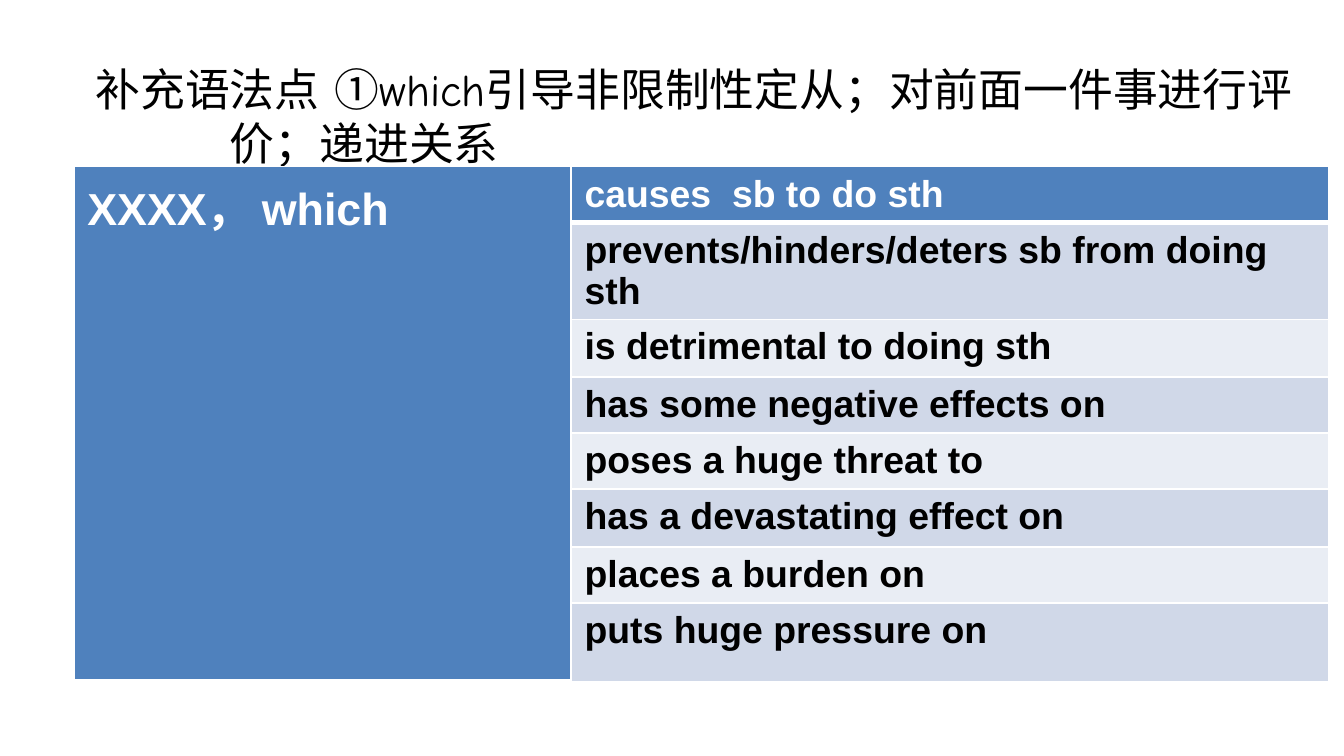
import pptx
import pptx.dml.color
import pptx.enum.text
import pptx.oxml
import pptx.oxml.ns
import pptx.util

Pt = pptx.util.Pt
NAMESPACE = pptx.oxml.ns.nsdecls("a")


def format_run(run, font_name, size, color, bold):
    run.font.name = font_name
    run.font.size = Pt(size)
    run.font.bold = bold
    run.font.color.rgb = pptx.dml.color.RGBColor.from_string(color)


def format_cell(cell, color, bottom_width):
    properties = cell._tc.get_or_add_tcPr()
    for side, width in (("L", 1), ("R", 1), ("T", 1), ("B", bottom_width)):
        properties.append(pptx.oxml.parse_xml(
            f'<a:ln{side} {NAMESPACE} w="{Pt(width)}"><a:solidFill>'
            f'<a:srgbClr val="FFFFFF"/></a:solidFill></a:ln{side}>'))
    cell.fill.solid()
    cell.fill.fore_color.rgb = pptx.dml.color.RGBColor.from_string(color)


presentation = pptx.Presentation()
presentation.slide_width = Pt(720)
presentation.slide_height = Pt(405)
slide = presentation.slides.add_slide(presentation.slide_layouts[5])

# Title with a hanging indent
title = slide.shapes.title
title.left, title.top, title.width, title.height = Pt(44), Pt(29), Pt(661), Pt(66)
title.text_frame.text = "补充语法点 ①which引导非限制性定从；对前面一件事进行评价；递进关系"
title.text_frame.vertical_anchor = pptx.enum.text.MSO_ANCHOR.MIDDLE
paragraph = title.text_frame.paragraphs[0]
paragraph.alignment = pptx.enum.text.PP_ALIGN.LEFT
paragraph_properties = paragraph._p.get_or_add_pPr()
paragraph_properties.set("marL", str(Pt(72)))
paragraph_properties.set("indent", str(Pt(-72)))
format_run(paragraph.runs[0], "Comic Neue", 24, "000000", False)
paragraph.runs[0].font._rPr.append(
    pptx.oxml.parse_xml(f'<a:ea {NAMESPACE} typeface="Comic Neue"/>'))

# Table: one stem on the left, its endings on the right
endings = [
    "causes  sb to do sth",
    "prevents/hinders/deters sb from doing sth",
    "is detrimental to doing sth",
    "has some negative effects on",
    "poses a huge threat to",
    "has a devastating effect on",
    "places a burden on",
    "puts huge pressure on",
]
row_heights = [30, 30, 31, 30, 30, 31, 30, 42]
table = slide.shapes.add_table(
    len(endings), 2, Pt(39.6), Pt(89.3), Pt(672.5), Pt(sum(row_heights))).table
table.columns[0].width = Pt(266.4)
table.columns[1].width = Pt(406.1)
table.cell(0, 0).merge(table.cell(len(endings) - 1, 0))

for index, (ending, height) in enumerate(zip(endings, row_heights)):
    table.rows[index].height = Pt(height)
    is_header = index == 0
    band = "4F81BD" if is_header else ("D0D8E8" if index % 2 else "E9EDF4")
    stem_cell, ending_cell = table.rows[index].cells
    format_cell(stem_cell, "4F81BD", 3 if is_header else 1)
    format_cell(ending_cell, band, 3 if is_header else 1)
    ending_cell.text_frame.text = ending
    format_run(ending_cell.text_frame.paragraphs[0].runs[0], "Arial", 20,
               "FFFFFF" if is_header else "000000", True)

stem_frame = table.cell(0, 0).text_frame
stem_frame.text = "XXXX， which"
format_run(stem_frame.paragraphs[0].runs[0], "Arial", 24, "FFFFFF", True)

presentation.save("out.pptx")
